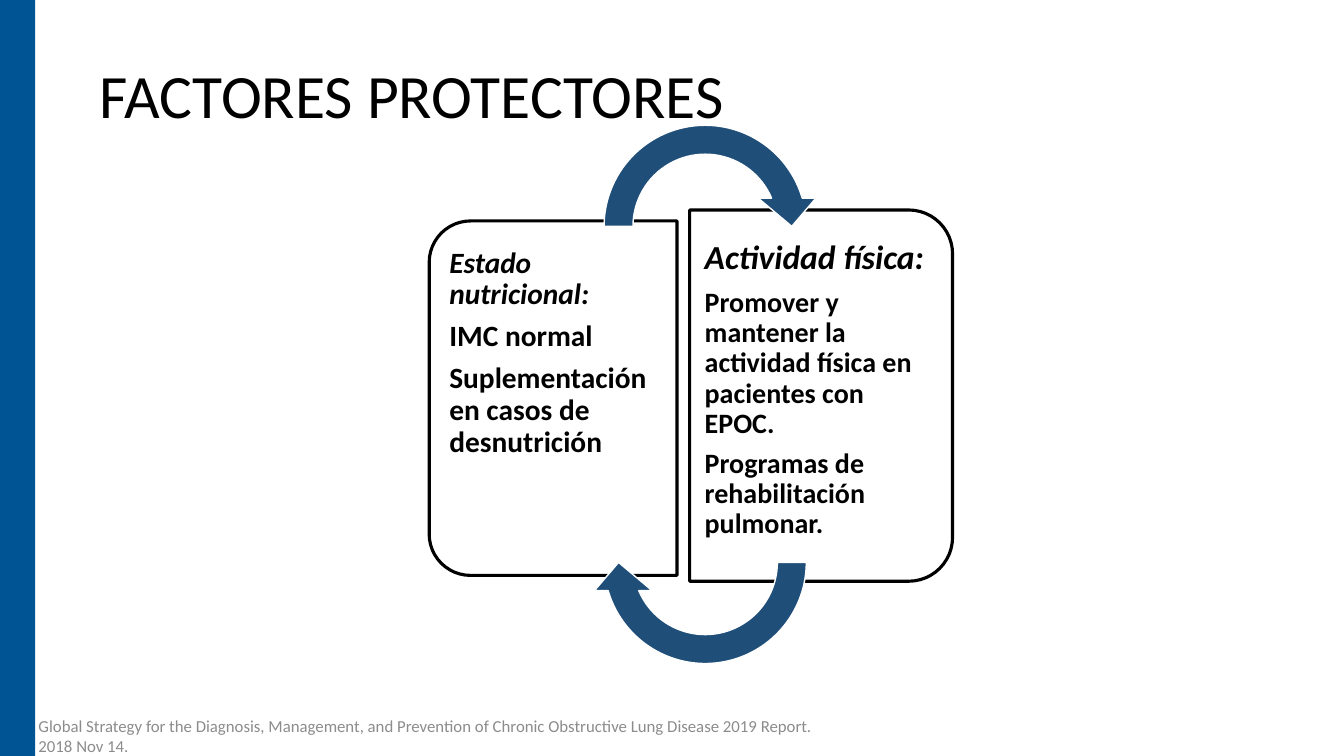
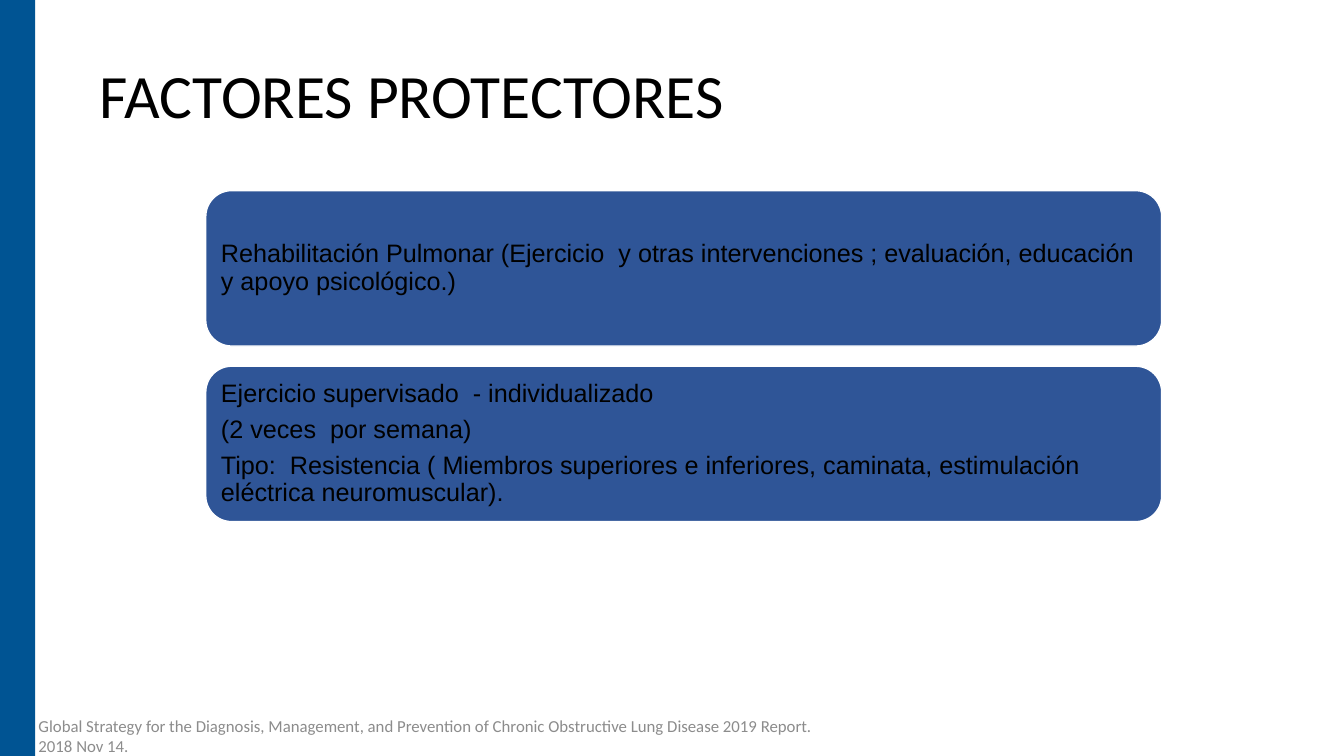
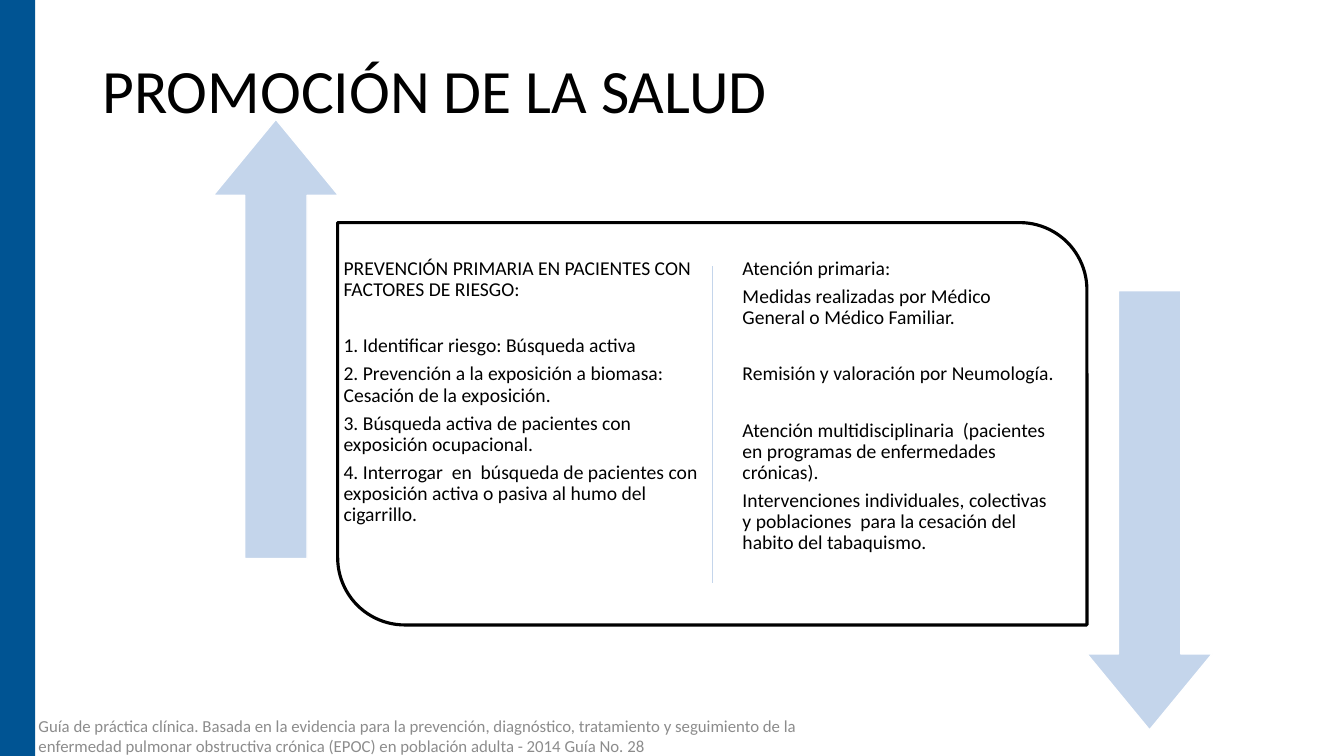
"""Build three slides on protective factors and health promotion in COPD."""
from dataclasses import dataclass

import lxml.etree
import pptx
import pptx.dml.color
import pptx.enum.shapes
import pptx.enum.text
import pptx.oxml.ns
import pptx.shapes.autoshape
import pptx.slide
import pptx.text.text
import pptx.util

COLS, ROWS, CELL = 16, 9, 762000
HUES = {
    "band": "005493", "ink": "000000", "note": "8C8C8C", "paper": "FFFFFF",
    "ring": "1F4E79", "panel": "2F5597", "pale": "C4D5EB",
}
FORM = pptx.enum.shapes.MSO_SHAPE
MID = pptx.enum.text.MSO_ANCHOR.MIDDLE
TOP = pptx.enum.text.MSO_ANCHOR.TOP
TIGHT = 0.9
AFTER = 0.35
GAP = 20


@dataclass(frozen=True)
class Box:
    """Hold a visible area in grid cells."""
    left: float
    top: float
    width: float
    height: float


@dataclass(frozen=True)
class Look:
    """Hold the outline and colours of a shape."""
    form: pptx.enum.shapes.MSO_SHAPE
    fill: str
    line: str | None = None
    weight: float = 1
    bends: tuple[float, ...] = ()


@dataclass(frozen=True)
class Para:
    """Hold one paragraph and its type style."""
    text: str
    size: float
    bold: bool = False
    slant: bool = False
    lead: float = 0


@dataclass(frozen=True)
class Style:
    """Hold what all paragraphs of a text body share."""
    inset: tuple[float, float, float, float] = (0.12, 0.06, 0.12, 0.06)
    anchor: pptx.enum.text.MSO_ANCHOR = TOP
    font: str = "Calibri"
    hue: str = "ink"
    pitch: float = TIGHT


BAND = Look(FORM.RECTANGLE, "band")
CARD = Look(FORM.ROUND_2_SAME_RECTANGLE, "paper", "ink", 2.25, (0.167, 0))
RING = Look(FORM.CIRCULAR_ARROW, "ring", "paper", 1, (0.125, 11.423, 204.577, 108, 0.125))
PANEL = Look(FORM.ROUNDED_RECTANGLE, "panel", "paper")
FRAME = Look(FORM.ROUND_2_DIAG_RECTANGLE, "paper", "ink", 2.25, (0, 0.167))
ARROW = Look(FORM.RIGHT_ARROW, "pale", "paper", 1, (0.498, 0.607))

HEAD = Style(anchor=MID)
NOTE = Style(anchor=MID, hue="note", pitch=1)
WIDE = Style((0.09,) * 4, MID, "Arial")
SLIM = Style((0.07,) * 4)

FACTORS = "FACTORES PROTECTORES"
REPORT = (
    "Global Strategy for the Diagnosis, Management, and Prevention of Chronic "
    "Obstructive Lung Disease 2019 Report. 2018 Nov 14."
)
GUIDE = (
    "Guía de práctica clínica. Basada en la evidencia para la prevención, diagnóstico, "
    "tratamiento y seguimiento de la enfermedad pulmonar obstructiva crónica (EPOC) en "
    "población adulta - 2014 Guía No. 28"
)


def span(cells: float) -> pptx.util.Emu:
    """Turn grid cells into a length."""
    return pptx.util.Emu(round(cells * CELL))


def tint(name: str) -> pptx.dml.color.RGBColor:
    """Look up a colour by name."""
    return pptx.dml.color.RGBColor.from_string(HUES[name])


def write(frame: pptx.text.text.TextFrame, paras: list[Para], style: Style) -> None:
    """Fill a text frame run by run."""
    frame.word_wrap = True
    frame.vertical_anchor = style.anchor
    (frame.margin_left, frame.margin_top,
     frame.margin_right, frame.margin_bottom) = map(span, style.inset)
    for rank, para in enumerate(paras):
        item = frame.add_paragraph() if rank else frame.paragraphs[0]
        item.alignment = pptx.enum.text.PP_ALIGN.LEFT
        item.line_spacing = style.pitch
        if para.lead:
            item.space_before = pptx.util.Pt(para.lead)
        if rank < len(paras) - 1:
            item.space_after = pptx.util.Pt(AFTER * para.size)
        run = item.add_run()
        run.text = para.text
        run.font.name = style.font
        run.font.size = pptx.util.Pt(para.size)
        run.font.bold = para.bold
        run.font.italic = para.slant
        run.font.color.rgb = tint(style.hue)


def label(slide: pptx.slide.Slide, box: Box, paras: list[Para], style: Style) -> None:
    """Add a text box."""
    area = map(span, (box.left, box.top, box.width, box.height))
    write(slide.shapes.add_textbox(*area).text_frame, paras, style)


def draw(slide: pptx.slide.Slide, box: Box, look: Look,
         turn: int = 0) -> pptx.shapes.autoshape.Shape:
    """Add a shape that fills the visible box after its turn."""
    wide, high = (box.height, box.width) if turn % 180 else (box.width, box.height)
    left = box.left + (box.width - wide) / 2
    top = box.top + (box.height - high) / 2
    shape = slide.shapes.add_shape(look.form, *map(span, (left, top, wide, high)))
    shape.rotation = turn
    shape.shadow.inherit = False
    for rank, bend in enumerate(look.bends):
        shape.adjustments[rank] = bend
    shape.fill.solid()
    shape.fill.fore_color.rgb = tint(look.fill)
    if look.line:
        shape.line.color.rgb = tint(look.line)
        shape.line.width = pptx.util.Pt(look.weight)
    else:
        shape.line.fill.background()
    return shape


def rule(slide: pptx.slide.Slide, left: float, top: float, end: float) -> None:
    """Add a thin upright line."""
    kind = pptx.enum.shapes.MSO_CONNECTOR.STRAIGHT
    line = slide.shapes.add_connector(kind, *map(span, (left, top, left, end)))
    line.line.color.rgb = tint("pale")
    line.line.width = pptx.util.Pt(1)
    props = line._element.spPr
    lxml.etree.SubElement(props, pptx.oxml.ns.qn("a:effectLst"))


def start(deck: pptx.presentation.Presentation, title: str, source: str,
          left: float = 1.07, top: float = 0.3) -> pptx.slide.Slide:
    """Add a slide with its band, title and source line."""
    slide = deck.slides.add_slide(deck.slide_layouts[6])
    label(slide, Box(left, top, 13.8, 1.74), [Para(title, 44)], HEAD)
    draw(slide, Box(0, 0, 0.42, ROWS), BAND)
    label(slide, Box(0.34, 8.52, 9.78, 0.48), [Para(source, 12)], NOTE)
    return slide


def cycle(deck: pptx.presentation.Presentation) -> None:
    """Build the slide with two cards in a cycle."""
    slide = start(deck, FACTORS, REPORT)
    draw(slide, Box(5.11, 2.63, 2.95, 4.22), CARD, 270)
    label(slide, Box(5.24, 2.77, 2.81, 3.94), [
        Para("Estado nutricional:", 21, True, True),
        Para("IMC normal", 21, True),
        Para("Suplementación en casos de desnutrición", 21, True),
    ], Style((0.11, 0.18, 0.16, 0.18)))
    draw(slide, Box(8.21, 2.5, 3.13, 4.42), CARD, 90)
    label(slide, Box(8.21, 2.66, 2.98, 4.1), [
        Para("Actividad física:", 24, True, True),
        Para("Promover y mantener la actividad física en pacientes con EPOC.", 20, True),
        Para("Programas de rehabilitación pulmonar.", 20, True),
    ], Style((0.18, 0.2, 0.12, 0.2)))
    for top, turn in ((1.32, 0), (5.32, 180)):
        draw(slide, Box(7.02, top, 2.75, 2.75), RING, turn)


def rehab(deck: pptx.presentation.Presentation) -> None:
    """Build the slide with two stacked panels."""
    slide = start(deck, FACTORS, REPORT)
    panels = (
        ("Rehabilitación Pulmonar (Ejercicio  y otras intervenciones ; evaluación, "
         "educación y apoyo psicológico.)",),
        ("Ejercicio supervisado  - individualizado",
         "(2 veces  por semana)",
         "Tipo:  Resistencia ( Miembros superiores e inferiores, caminata, "
         "estimulación eléctrica neuromuscular)."),
    )
    for rank, texts in enumerate(panels):
        shape = draw(slide, Box(2.45, 2.27 + rank * 2.09, 11.38, 1.85), PANEL)
        write(shape.text_frame, [Para(text, 18) for text in texts], WIDE)


def promote(deck: pptx.presentation.Presentation) -> None:
    """Build the slide with a framed pair of columns and two arrows."""
    slide = start(deck, "PROMOCIÓN DE LA SALUD", GUIDE, 1.1, 0.24)
    draw(slide, Box(4.02, 2.65, 8.92, 4.79), FRAME)
    rule(slide, 8.48, 3.17, 6.94)
    label(slide, Box(4.02, 3.01, 4.45, 4.07), [
        Para("PREVENCIÓN PRIMARIA EN PACIENTES CON FACTORES DE RIESGO:", 14),
        Para("1. Identificar riesgo: Búsqueda activa", 14, lead=GAP),
        Para("2. Prevención a la exposición a biomasa: Cesación de la exposición.", 14),
        Para("3. Búsqueda activa de pacientes con exposición ocupacional.", 14),
        Para("4. Interrogar  en  búsqueda de pacientes con exposición activa o pasiva "
             "al humo del cigarrillo.", 14),
    ], SLIM)
    label(slide, Box(8.77, 3.01, 3.86, 4.07), [
        Para("Atención primaria:", 14),
        Para("Medidas realizadas por Médico General o Médico Familiar.", 14),
        Para("Remisión y valoración por Neumología.", 14, lead=GAP),
        Para("Atención multidisciplinaria  (pacientes en programas de enfermedades "
             "crónicas).", 14, lead=GAP),
        Para("Intervenciones individuales, colectivas y poblaciones  para la cesación "
             "del habito del tabaquismo.", 14),
    ], SLIM)
    for left, top, turn in ((2.54, 1.42, 270), (12.94, 3.46, 90)):
        draw(slide, Box(left, top, 1.49, 5.23), ARROW, turn)


def main() -> None:
    """Build and save the deck."""
    deck = pptx.Presentation()
    deck.slide_width, deck.slide_height = span(COLS), span(ROWS)
    for build in (cycle, rehab, promote):
        build(deck)
    deck.save("out.pptx")


if __name__ == "__main__":
    main()
